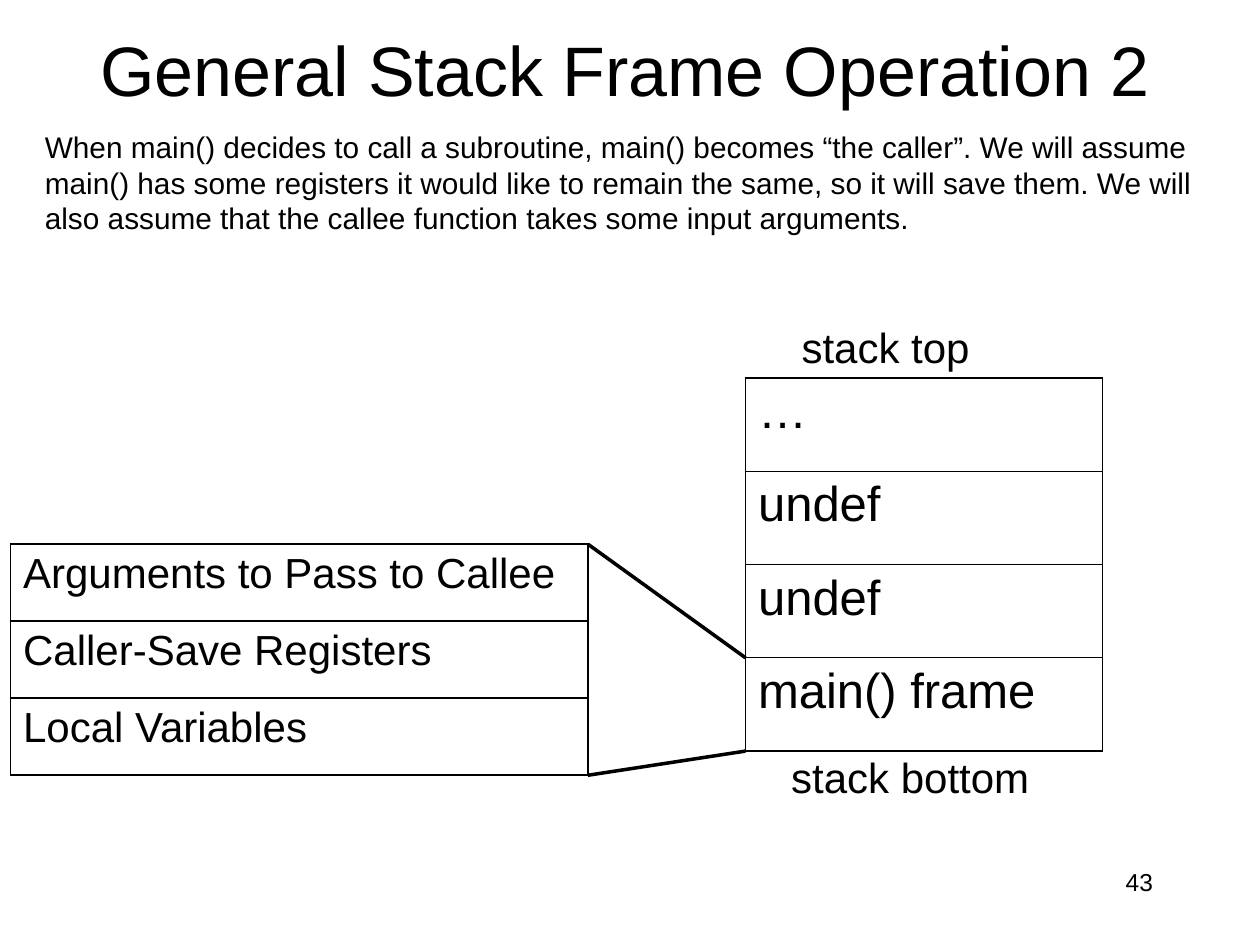
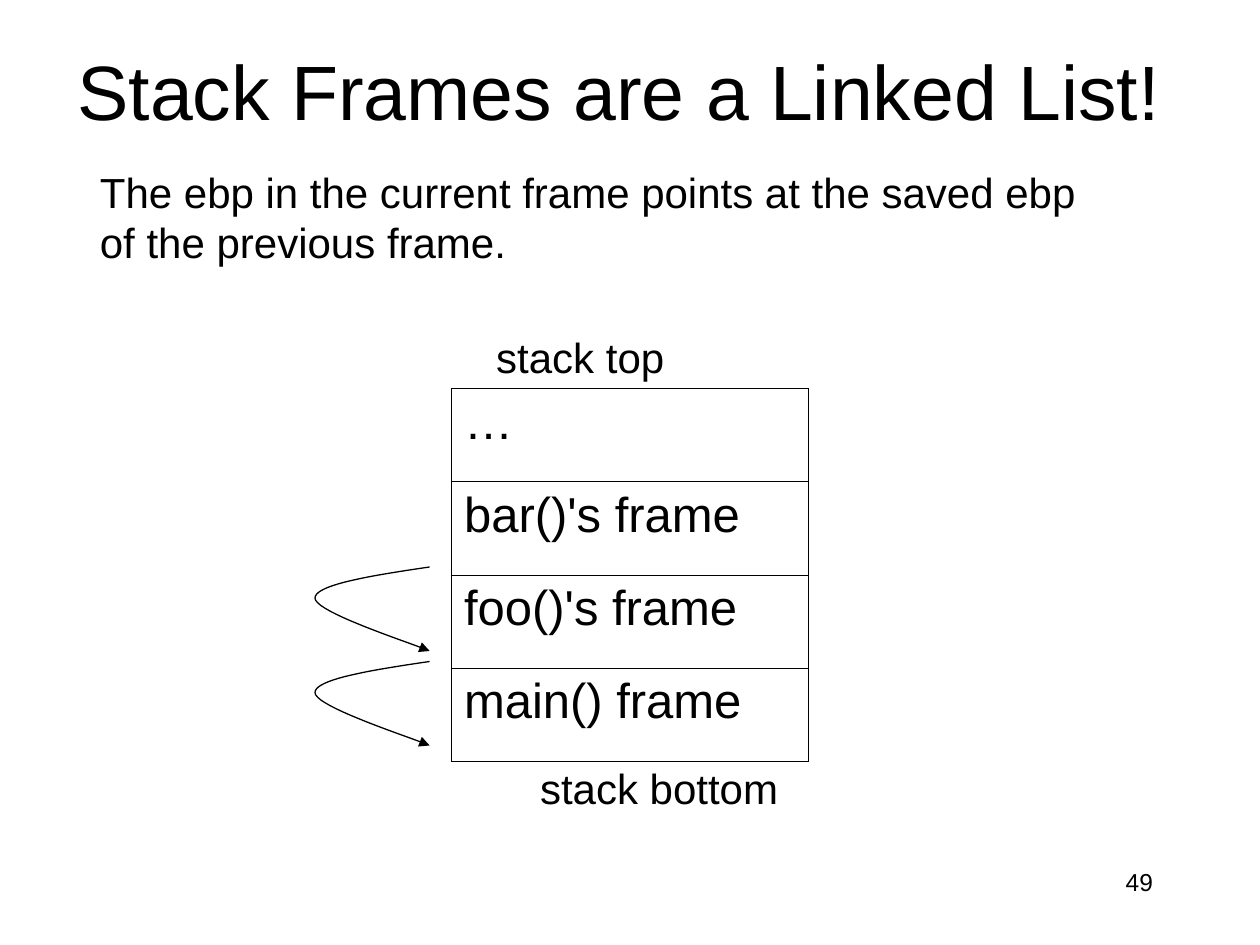
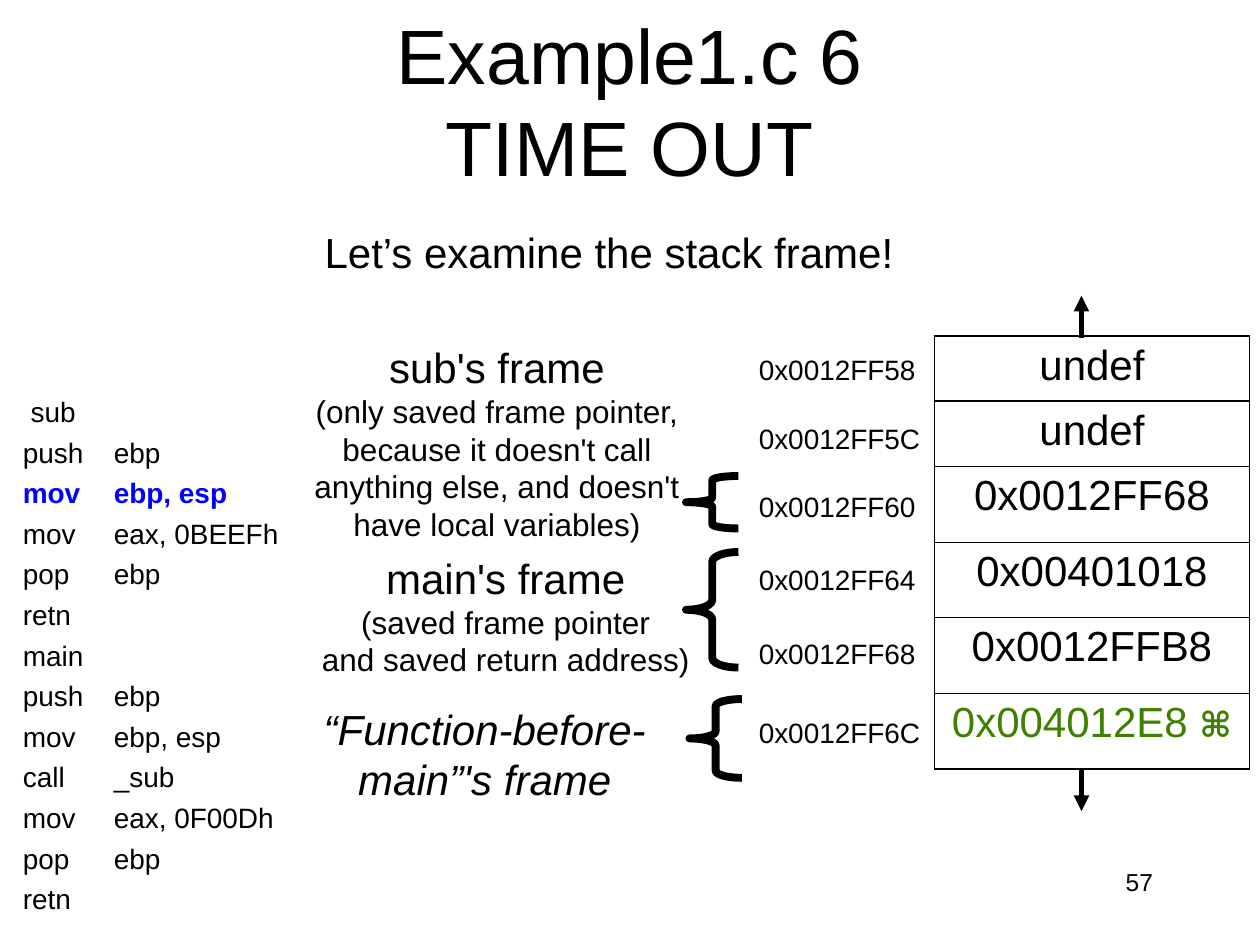
from dataclasses import dataclass
from typing import NamedTuple

from lxml.etree import SubElement
from pptx import Presentation
from pptx.dml.color import RGBColor as Color
from pptx.enum.shapes import MSO_CONNECTOR as Connector, MSO_SHAPE as Shape
from pptx.enum.text import MSO_ANCHOR as Anchor, MSO_AUTO_SIZE as AutoSize, PP_ALIGN as Align
from pptx.oxml.ns import qn
from pptx.util import Pt


@dataclass(frozen=True)
class Theme:
    font: str = "Arial"
    ink: Color = Color(0, 0, 0)
    current: Color = Color(0, 0, 255)
    changed: Color = Color(0x40, 0x80, 0)
    title: float = 44
    small_title: float = 40
    frame: float = 28
    label: float = 24
    mark: float = 20
    detail: float = 18
    body: float = 17
    code: float = 16
    number: float = 14
    hairline: float = 0.45
    thin: float = 0.75
    border: float = 1.08
    zoom: float = 2
    arrow: float = 3
    brace: float = 4.5


THEME = Theme()


class Box(NamedTuple):
    left: float
    top: float
    width: float
    height: float

    @property
    def right(self):
        return self.left + self.width

    @property
    def bottom(self):
        return self.top + self.height

    def lengths(self):
        return [Pt(value) for value in self]


NUMBER_BOX = Box(516, 492, 150, 36)
STACK_WIDTH, FRAME_HEIGHT = 204, 53.3


# Text
def set_attributes(target, values):
    for name, value in values.items():
        setattr(target, name, value)


def write(frame, paragraphs, size, align=Align.LEFT, space_before=0, tab=None):
    """Each paragraph is a string or a list of (text, format) runs."""
    for index, runs in enumerate(paragraphs):
        paragraph = frame.paragraphs[0] if index == 0 else frame.add_paragraph()
        if tab:
            tabs = SubElement(paragraph._p.get_or_add_pPr(), qn("a:tabLst"))
            SubElement(tabs, qn("a:tab"), pos=str(Pt(tab)), algn="l")
        paragraph.alignment = align
        if index and space_before:
            paragraph.space_before = Pt(space_before)
        for text, changes in [(runs, {})] if isinstance(runs, str) else runs:
            values = {"name": THEME.font, "size": Pt(size), **changes}
            color = values.pop("color", THEME.ink)
            for part_index, part in enumerate(text.split("\n")):
                if part_index:
                    paragraph.add_line_break()
                run = paragraph.add_run()
                run.text = part
                set_attributes(run.font, values)
                run.font.color.rgb = color


def add_text(slide, box, paragraphs, size, wrap=True, anchor=Anchor.TOP, **layout):
    frame = slide.shapes.add_textbox(*box.lengths()).text_frame
    set_attributes(frame, {
        "word_wrap": wrap,
        "vertical_anchor": anchor,
        "auto_size": AutoSize.NONE if wrap else AutoSize.SHAPE_TO_FIT_TEXT,
    })
    write(frame, paragraphs, size, **layout)


def add_label(slide, box, paragraphs, size=THEME.label, **layout):
    add_text(slide, box, paragraphs, size, wrap=False, **layout)


def add_centred_label(slide, box, paragraphs):
    add_label(slide, box, paragraphs, anchor=Anchor.MIDDLE, align=Align.CENTER)


def start_slide(presentation, title, title_box, number, size=THEME.title):
    slide = presentation.slides.add_slide(presentation.slide_layouts[6])
    add_text(slide, NUMBER_BOX, [number], THEME.number, align=Align.RIGHT)
    add_text(slide, title_box, [title], size, anchor=Anchor.MIDDLE, align=Align.CENTER)
    return slide


# Lines
def style_line(shape, width, arrow=False):
    shape.line.color.rgb = THEME.ink
    shape.line.width = Pt(width)
    if arrow:
        SubElement(shape.element.spPr.find(qn("a:ln")), qn("a:tailEnd"), type="triangle")


def add_line(slide, start, end, width, arrow=False):
    line = slide.shapes.add_connector(
        Connector.STRAIGHT, *[Pt(value) for value in (*start, *end)])
    style_line(line, width, arrow)
    SubElement(line.element.spPr, qn("a:effectLst"))


def bezier(points, steps=20):
    """Points along a cubic curve, without its start."""
    for step in range(1, steps + 1):
        t = step / steps
        weights = ((1 - t) ** 3, 3 * t * (1 - t) ** 2, 3 * t * t * (1 - t), t ** 3)
        yield tuple(sum(w * point[axis] for w, point in zip(weights, points))
                    for axis in (0, 1))


def add_link_arrow(slide, box):
    start, turn, end = (1, 0), (0, 0.37), (1, 1)
    curves = [(start, (0.5, 0.1), (0, 0.21), turn), (turn, (0, 0.54), (0.83, 0.9), end)]
    points = [start] + [point for curve in curves for point in bezier(curve)]
    places = [(Pt(box.left + x * box.width), Pt(box.top + y * box.height)) for x, y in points]
    builder = slide.shapes.build_freeform(*places[0])
    builder.add_line_segments(places[1:], close=False)
    arrow = builder.convert_to_shape()
    arrow.shadow.inherit = False
    arrow.fill.background()
    style_line(arrow, THEME.thin, arrow=True)


def add_brace(slide, box, corner):
    brace = slide.shapes.add_shape(Shape.LEFT_BRACE, *box.lengths())
    brace.shadow.inherit = False
    brace.fill.background()
    brace.adjustments[0] = corner / min(box.width, box.height)
    style_line(brace, THEME.brace)


# Tables
def set_borders(cell, widths):
    properties = cell._tc.get_or_add_tcPr()
    for side, width in widths.items():
        line = SubElement(properties, qn(f"a:ln{side}"), w=str(Pt(width)))
        fill = SubElement(line, qn("a:solidFill"))
        SubElement(fill, qn("a:srgbClr"), val=str(THEME.ink))


def add_column_table(slide, left, top, width, heights, texts, size,
                     inner=THEME.hairline, align=Align.LEFT):
    box = Box(left, top, width, sum(heights))
    table = slide.shapes.add_table(len(texts), 1, *box.lengths()).table
    set_attributes(table, {"first_row": False, "horz_banding": False})
    last = len(texts) - 1
    for index, (height, text) in enumerate(zip(heights, texts)):
        table.rows[index].height = Pt(height)
        cell = table.cell(index, 0)
        set_borders(cell, {
            "L": THEME.border,
            "R": THEME.border,
            "T": inner if index else THEME.border,
            "B": inner if index < last else THEME.border,
        })
        cell.fill.background()
        write(cell.text_frame, [text], size, align=align)
    return box


def add_stack(slide, left, top, frames, top_indent, bottom_indent):
    stack = add_column_table(slide, left, top, STACK_WIDTH,
                             [FRAME_HEIGHT] * len(frames), frames, THEME.frame)
    add_label(slide, Box(left + top_indent, top - 36, 114, 36), ["stack top"])
    add_label(slide, Box(left + bottom_indent, stack.bottom - 3.25, 154, 36),
              ["stack bottom"])
    return stack


# Slides
def build_caller_slide(presentation):
    slide = start_slide(presentation, "General Stack Frame Operation 2",
                        Box(36, -6, 642, 90), "43", THEME.small_title)
    add_text(slide, Box(18.5, 70, 675, 94), [
        "When main() decides to call a subroutine, main() becomes “the caller”. "
        "We will assume main() has some registers it would like to remain the same, "
        "so it will save them. We will also assume that the callee function takes "
        "some input arguments."], THEME.body)
    stack = add_stack(slide, 426, 216, ["…", "undef", "undef", "main() frame"], 25, 19)
    parts = ["Arguments to Pass to Callee", "Caller-Save Registers", "Local Variables"]
    detail = add_column_table(slide, 6, 311, 330, [44] * len(parts), parts,
                              THEME.label, inner=THEME.border)
    # Lines that open the main() frame into its parts
    add_line(slide, (detail.right, detail.top),
             (stack.left, stack.bottom - FRAME_HEIGHT), THEME.zoom)
    add_line(slide, (detail.right, detail.bottom), (stack.left, stack.bottom), THEME.zoom)


def build_linked_list_slide(presentation):
    slide = start_slide(presentation, "Stack Frames are a Linked List!",
                        Box(30, 6, 648, 90), "49")
    add_text(slide, Box(50, 91.5, 580, 65), [
        "The ebp in the current frame points at the saved ebp of the previous frame."],
        THEME.label)
    frames = ["…", "bar()'s frame", "foo()'s frame", "main() frame"]
    stack = add_stack(slide, 258, 222, frames, 18.5, 43.5)
    for link in range(2):
        add_link_arrow(slide, Box(stack.left - 78, stack.top + 102 + 54 * link, 65.5, 48))


def add_code(slide, box):
    current = {"color": THEME.current, "bold": True}
    lines = [" sub", "push\tebp", [("mov\tebp, esp", current)], "mov\teax, 0BEEFh",
             "pop\tebp", "retn", "main", "push\tebp", "mov\tebp, esp", "call\t_sub",
             "mov\teax, 0F00Dh", "pop\tebp", "retn"]
    add_text(slide, box, lines, THEME.code, space_before=4, tab=52)


def add_memory(slide, left, top):
    """Stack values with their addresses and the arrows that continue the stack."""
    width, short, tall = 180, 37.25, 43.25
    changed = {"color": THEME.changed}
    mark = {**changed, "size": Pt(THEME.mark), "bold": True}
    values = ["undef", "0x0012FF68", "0x00401018", "0x0012FFB8",
              [("0x004012E8 ", changed), ("⌘", mark)]]
    look = {"size": THEME.label, "align": Align.CENTER}
    first = add_column_table(slide, left, top, width, [short], ["undef"], **look)
    rest = add_column_table(slide, left, first.bottom, width, [short] + [tall] * 4,
                            values, **look)
    arrow_x = left + 84
    for start, end in [(top + 1, top - 23), (rest.bottom, rest.bottom + 24)]:
        add_line(slide, (arrow_x, start), (arrow_x, end), THEME.arrow, arrow=True)
    addresses = {"58": 6, "5C": 45.5, "60": 84, "64": 126, "68": 168, "6C": 213.5}
    for ending, offset in addresses.items():
        add_label(slide, Box(left - 107.5, top + offset, 110, 26.5),
                  [f"0x0012FF{ending}"], THEME.code)


def build_time_out_slide(presentation):
    slide = start_slide(presentation, "Example1.c 6\nTIME OUT", Box(54, 12, 612, 90), "57")
    add_code(slide, Box(6, 222, 168, 318))

    # Braces with the frames they mark
    detail, italic = {"size": Pt(THEME.detail)}, {"italic": True}
    marked_frames = [
        (Box(392, 272, 30, 30), 2.5, Box(169, 191.5, 230, 122.5),
         [("sub's frame", {}), ("(only saved frame pointer,", detail),
          ("because it doesn't call", detail), ("anything else, and doesn't", detail),
          ("have local variables)", detail)]),
        (Box(392, 315.5, 30, 66), 5.5, Box(174, 312, 230, 79),
         [("main's frame", {}), ("(saved frame pointer", detail),
          ("and saved return address)", detail)]),
        (Box(394, 399.5, 30, 45), 4, Box(172, 398, 210, 65),
         [("“Function-before-", italic), ("main”'s frame", italic)]),
    ]
    for brace_box, corner, label_box, lines in marked_frames:
        add_brace(slide, brace_box, corner)
        add_centred_label(slide, label_box, [[line] for line in lines])

    add_memory(slide, 534, 192)
    add_centred_label(slide, Box(173, 126, 350, 36), ["Let’s examine the stack frame!"])


def main():
    presentation = Presentation()
    set_attributes(presentation, {"slide_width": Pt(720), "slide_height": Pt(540)})
    for build in (build_caller_slide, build_linked_list_slide, build_time_out_slide):
        build(presentation)
    presentation.save("out.pptx")


if __name__ == "__main__":
    main()
